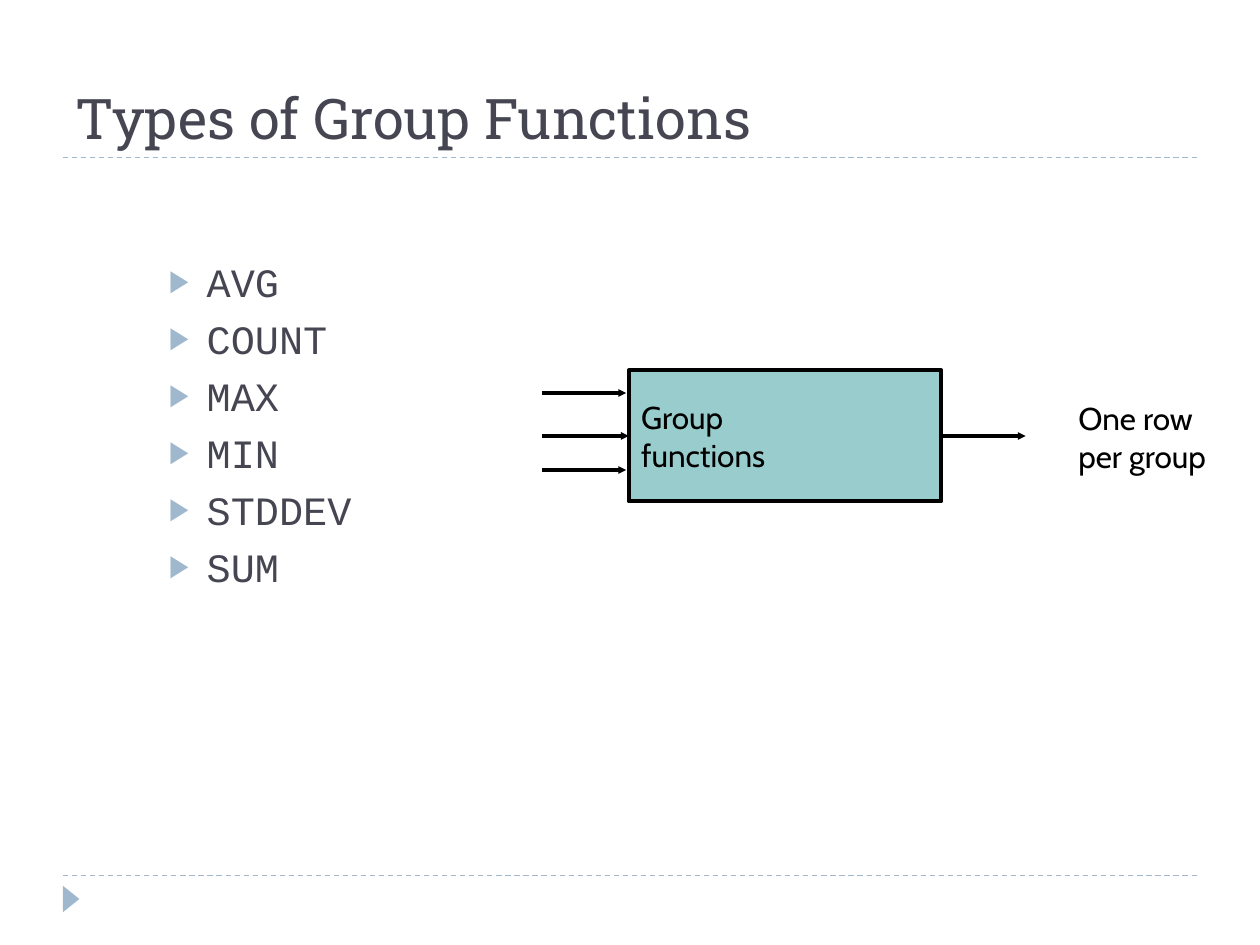
from lxml.etree import SubElement
from pptx import Presentation
from pptx.dml.color import RGBColor
from pptx.enum.dml import MSO_LINE_DASH_STYLE as Dash
from pptx.enum.shapes import MSO_CONNECTOR as Connector, MSO_SHAPE as Shape
from pptx.enum.text import MSO_ANCHOR as Anchor, MSO_AUTO_SIZE as AutoSize, PP_ALIGN as Align
from pptx.oxml.ns import qn
from pptx.util import Pt

# Content
TITLE = "Types of Group Functions"
FUNCTIONS = ["AVG", "COUNT", "MAX", "MIN", "STDDEV", "SUM"]
PROCESS = ["Group", "functions"]
RESULT = ["One row per group"]

# Colours
ACCENT = RGBColor(0x9F, 0xB8, 0xCD)
INK = RGBColor(0x46, 0x46, 0x53)
BLACK = RGBColor(0, 0, 0)
TEAL = RGBColor(0x99, 0xCC, 0xCC)

# Geometry in points
RULES_Y = [500.4, 90]
BOX_LEFT, BOX_TOP, BOX_WIDTH, BOX_HEIGHT = 359.3, 211.7, 178.6, 74.9
BOX_RIGHT = BOX_LEFT + BOX_WIDTH
FLOW_Y = BOX_TOP + BOX_HEIGHT / 2
INPUT_LEFT, OUTPUT_RIGHT = 309.6, 586.1
SIDE_INPUTS_Y = [224.6, 268.6]


def place(part, left, top, width, height):
    part.left, part.top, part.width, part.height = map(Pt, (left, top, width, height))


def write(frame, lines, font_name, size, color):
    frame.word_wrap = True
    frame.text = "\n".join(lines)
    for paragraph in frame.paragraphs:
        paragraph.alignment = Align.LEFT
        font = paragraph.font
        font.name, font.size, font.color.rgb = font_name, Pt(size), color


def add_line(x1, y1, x2, y2, color, width):
    line = slide.shapes.add_connector(Connector.STRAIGHT, Pt(x1), Pt(y1), Pt(x2), Pt(y2))
    line.line.color.rgb, line.line.width = color, Pt(width)
    SubElement(line._element.spPr, qn("a:effectLst"))
    return line


def add_arrow(x1, x2, y):
    arrow = add_line(x1, y, x2, y, BLACK, 2.25)
    SubElement(arrow.line._get_or_add_ln(), qn("a:tailEnd"), type="triangle", w="sm", len="sm")
    return arrow


def add_solid(kind, left, top, width, height, color):
    solid = slide.shapes.add_shape(kind, Pt(left), Pt(top), Pt(width), Pt(height))
    solid.shadow.inherit = False
    solid.fill.solid()
    solid.fill.fore_color.rgb = color
    return solid


def add_bullet(paragraph):
    paragraph.level = 1
    paragraph.space_before = Pt(5)
    props = paragraph._p.get_or_add_pPr()
    props.set("marL", str(Pt(43.2)))
    props.set("indent", str(Pt(-21.6)))
    SubElement(SubElement(props, qn("a:buClr")), qn("a:srgbClr"), val=str(ACCENT))
    SubElement(props, qn("a:buSzPct"), val="76000")
    SubElement(props, qn("a:buChar"), char="▶")


presentation = Presentation()
presentation.slide_width, presentation.slide_height = Pt(720), Pt(540)
slide = presentation.slides.add_slide(presentation.slide_layouts[1])

# Dashed rules and corner marker
for y in RULES_Y:
    add_line(36, y, 684, y, ACCENT, 0.75).line.dash_style = Dash.DASH
marker = add_solid(Shape.ISOSCELES_TRIANGLE, 33.1, 509, 15.1, 9.4, ACCENT)
marker.rotation = 90
marker.line.fill.background()

# Title
title = slide.shapes.title
place(title, 36, 12.2, 648, 77.8)
write(title.text_frame, [TITLE], "Roboto Slab", 32, INK)
title.text_frame.vertical_anchor = Anchor.BOTTOM
title.text_frame.auto_size = AutoSize.NONE

# Function list
function_list = slide.placeholders[1]
place(function_list, 67.7, 143.3, 580.3, 218.2)
write(function_list.text_frame, FUNCTIONS, "Courier New", 23, INK)
function_list.text_frame.auto_size = AutoSize.NONE
for item in function_list.text_frame.paragraphs:
    add_bullet(item)

# Process box with its inputs and output
process = add_solid(Shape.RECTANGLE, BOX_LEFT, BOX_TOP, BOX_WIDTH, BOX_HEIGHT, TEAL)
process.line.color.rgb, process.line.width = BLACK, Pt(2.25)
write(process.text_frame, PROCESS, "Cabin", 18, BLACK)
process.text_frame.vertical_anchor = Anchor.MIDDLE
add_arrow(INPUT_LEFT, BOX_LEFT, FLOW_Y).end_connect(process, 1)
add_arrow(BOX_RIGHT, OUTPUT_RIGHT, FLOW_Y).begin_connect(process, 3)
for y in SIDE_INPUTS_Y:
    add_arrow(INPUT_LEFT, BOX_LEFT - 1.5, y)

# Result label
result = slide.shapes.add_textbox(Pt(609.1), Pt(224.6), Pt(90.7), Pt(51.1))
write(result.text_frame, RESULT, "Cabin", 18, BLACK)
result.text_frame.auto_size = AutoSize.SHAPE_TO_FIT_TEXT

presentation.save("out.pptx")
